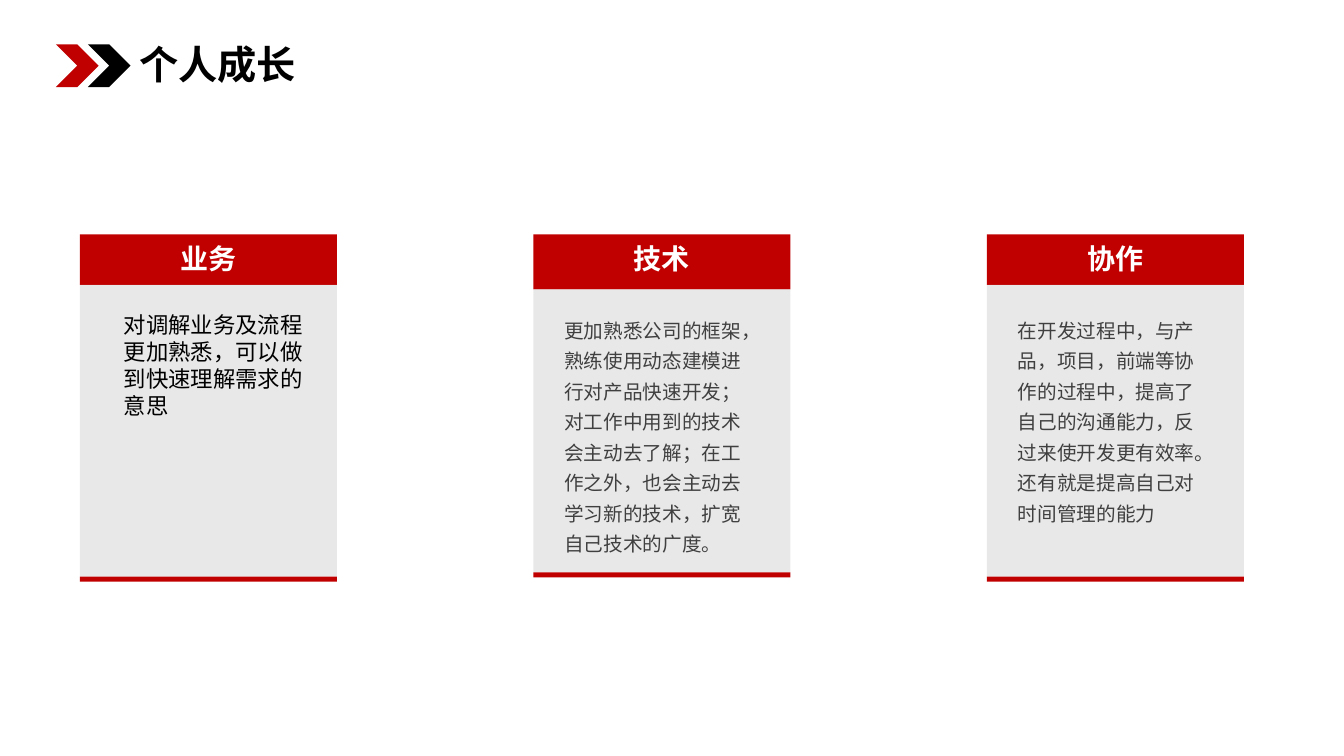
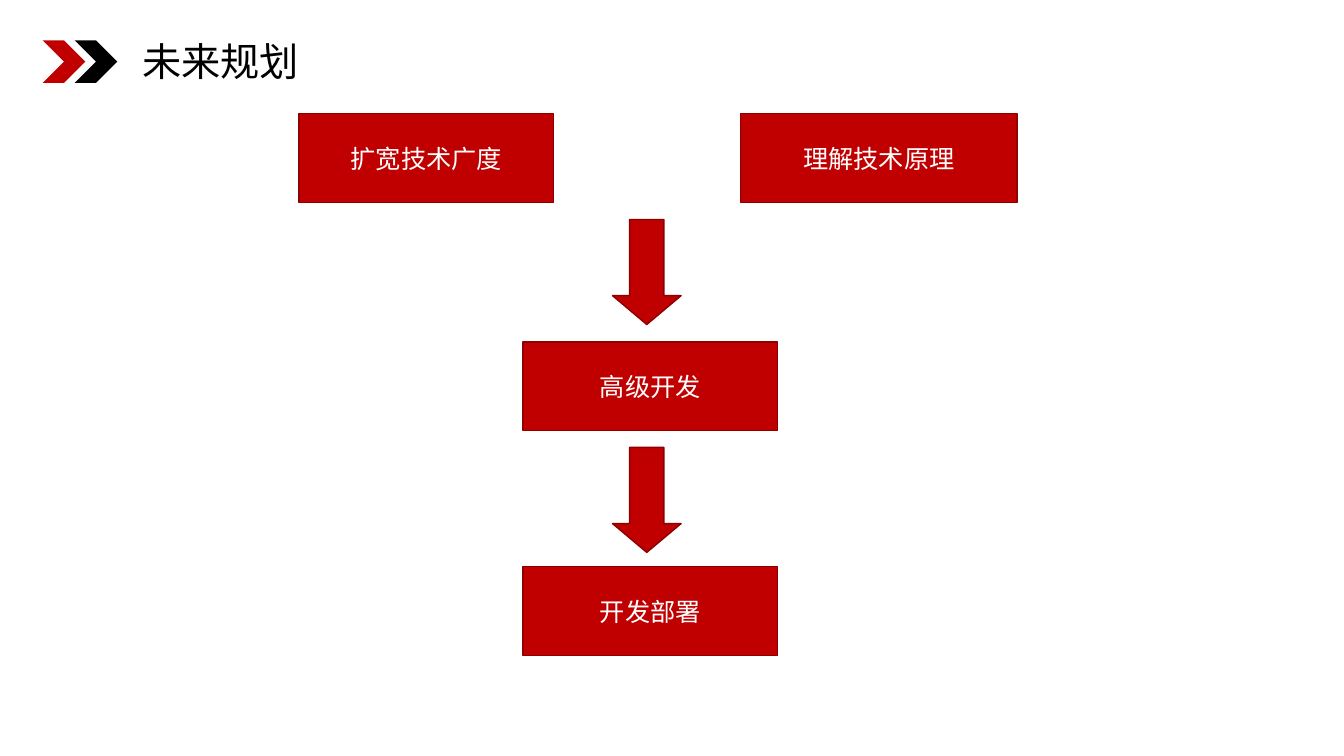
from lxml import etree
from pptx import Presentation
from pptx.dml.color import RGBColor
from pptx.enum.shapes import MSO_SHAPE as SHAPE
from pptx.enum.text import MSO_ANCHOR as ANCHOR, MSO_AUTO_SIZE as AUTO, PP_ALIGN as ALIGN
from pptx.oxml.ns import qn
from pptx.util import Pt

FONT = "Noto Sans CJK SC"
RED = RGBColor(0xC0, 0x00, 0x00)
DARK_RED = RGBColor(0x8E, 0x00, 0x00)
BLACK = RGBColor(0x00, 0x00, 0x00)
WHITE = RGBColor(0xFF, 0xFF, 0xFF)
GREY = RGBColor(0xD9, 0xD9, 0xD9)
TEXT_GREY = RGBColor(0x40, 0x40, 0x40)

CARD_W, CARD_TOP, STRIP_H = 183.6, 167.5, 3.6
BOX_H = 63.5
ARROW_W, ARROW_H = 49, 75


# Shared helpers
def add_run(p, text, size, color, bold=False):
    r = p.add_run()
    r.text = text
    r.font.size, r.font.bold, r.font.name = Pt(size), bold, FONT
    r.font.color.rgb = color
    etree.SubElement(r.font._element, qn("a:ea"), typeface=FONT)


def add_block(slide, kind, x, y, w, h, fill, line=None):
    sp = slide.shapes.add_shape(kind, Pt(x), Pt(y), Pt(w), Pt(h))
    sp.shadow.inherit = False
    sp.fill.solid()
    sp.fill.fore_color.rgb = fill
    if line is None:
        sp.line.fill.background()
    else:
        sp.line.color.rgb = line
        sp.line.width = Pt(1)
    return sp


def set_opacity(sp, percent):
    color = sp.element.spPr.find(qn("a:solidFill"))[0]
    etree.SubElement(color, qn("a:alpha"), val=str(percent * 1000))


def add_heading(prs, text, x, y, title_x, title_y, bold):
    """New slide with a double chevron at (x, y) and the title beside it."""
    slide = prs.slides.add_slide(prs.slide_layouts[5])
    for i, color in enumerate((RED, BLACK)):
        add_block(slide, SHAPE.CHEVRON, x + 22.8 * i, y, 30.5, 30.5, color)
    title = slide.shapes.title
    title.left, title.top = Pt(x + title_x), Pt(y + title_y)
    title.width, title.height = Pt(128), Pt(42)
    tf = title.text_frame
    tf.auto_size, tf.word_wrap = AUTO.NONE, False
    tf.vertical_anchor = ANCHOR.TOP
    tf.margin_left = tf.margin_right = Pt(7.8)
    tf.margin_top = tf.margin_bottom = Pt(3.6)
    p = tf.paragraphs[0]
    p.alignment = ALIGN.LEFT
    add_run(p, text, 28, BLACK, bold)
    return slide


# Slide 1: cards
def add_card(slide, x, y, h, head_h, label, paragraphs,
             inset=15, text_w=153.9, size=14, color=TEXT_GREY, spacing=1.3):
    head = add_block(slide, SHAPE.RECTANGLE, x, y, CARD_W, head_h, RED)
    tf = head.text_frame
    tf.vertical_anchor = ANCHOR.TOP
    tf.margin_top, tf.margin_bottom = Pt(5.2), 0
    tf.paragraphs[0].alignment = ALIGN.CENTER
    add_run(tf.paragraphs[0], label, 20, WHITE, True)

    body_h = h - head_h - STRIP_H
    body = add_block(slide, SHAPE.RECTANGLE, x, y + head_h, CARD_W, body_h, GREY)
    set_opacity(body, 58)
    add_block(slide, SHAPE.RECTANGLE, x, y + h - STRIP_H, CARD_W, STRIP_H, RED)

    text_y = 51.4
    box = slide.shapes.add_textbox(Pt(x + inset), Pt(y + text_y), Pt(text_w),
                                   Pt(h - text_y - STRIP_H))
    tf = box.text_frame
    tf.word_wrap = True
    for i, text in enumerate(paragraphs):
        p = tf.add_paragraph() if i else tf.paragraphs[0]
        p.line_spacing = spacing
        add_run(p, text, size, color)


def growth_slide(prs):
    slide = add_heading(prs, "个人成长", 40, 31.7, 51.5, -6.5, True)
    cards = [
        (248, 36, "业务", ["对调解业务及流程更加熟悉，可以做到快速理解需求的意思"],
         dict(inset=24.4, text_w=144, size=16, color=BLACK, spacing=1.0)),
        (245, 39.3, "技术",
         ["更加熟悉公司的框架，熟练使用动态建模进行对产品快速开发；",
          "对工作中用到的技术会主动去了解；在工作之外，也会主动去学习新的技术，"
          "扩宽自己技术的广度。"], {}),
        (248, 36, "协作",
         ["在开发过程中，与产品，项目，前端等协作的过程中，提高了自己的沟通能力，"
          "反过来使开发更有效率。",
          "还有就是提高自己对时间管理的能力"], {}),
    ]
    for i, (h, head_h, label, paragraphs, style) in enumerate(cards):
        add_card(slide, 57 + 324 * i, CARD_TOP, h, head_h, label, paragraphs, **style)


# Slide 2: flow of steps
def add_step(slide, x, y, w, text):
    sp = add_block(slide, SHAPE.RECTANGLE, x, y, w, BOX_H, RED, DARK_RED)
    tf = sp.text_frame
    tf.word_wrap = True
    tf.vertical_anchor = ANCHOR.MIDDLE
    tf.paragraphs[0].alignment = ALIGN.CENTER
    add_run(tf.paragraphs[0], text, 18, WHITE)


def add_flow(slide, x, y):
    add_step(slide, x, y, 182, "扩宽技术广度")
    add_step(slide, x + 315.5, y, 197.5, "理解技术原理")
    for dy, text in ((163, "高级开发"), (323.5, "开发部署")):
        add_step(slide, x + 160, y + dy, 182, text)
    for dy in (75.6, 238.4):
        arrow = add_block(slide, SHAPE.DOWN_ARROW, x + 224, y + dy,
                          ARROW_W, ARROW_H, RED, DARK_RED)
        arrow.adjustments[0], arrow.adjustments[1] = 0.5, 0.42


def plan_slide(prs):
    slide = add_heading(prs, "未来规划", 30.5, 28.8, 63.5, -5.8, False)
    add_flow(slide, 213.5, 81.2)


def main():
    prs = Presentation()
    prs.slide_width, prs.slide_height = Pt(960), Pt(540)
    growth_slide(prs)
    plan_slide(prs)
    prs.save("out.pptx")


if __name__ == "__main__":
    main()
